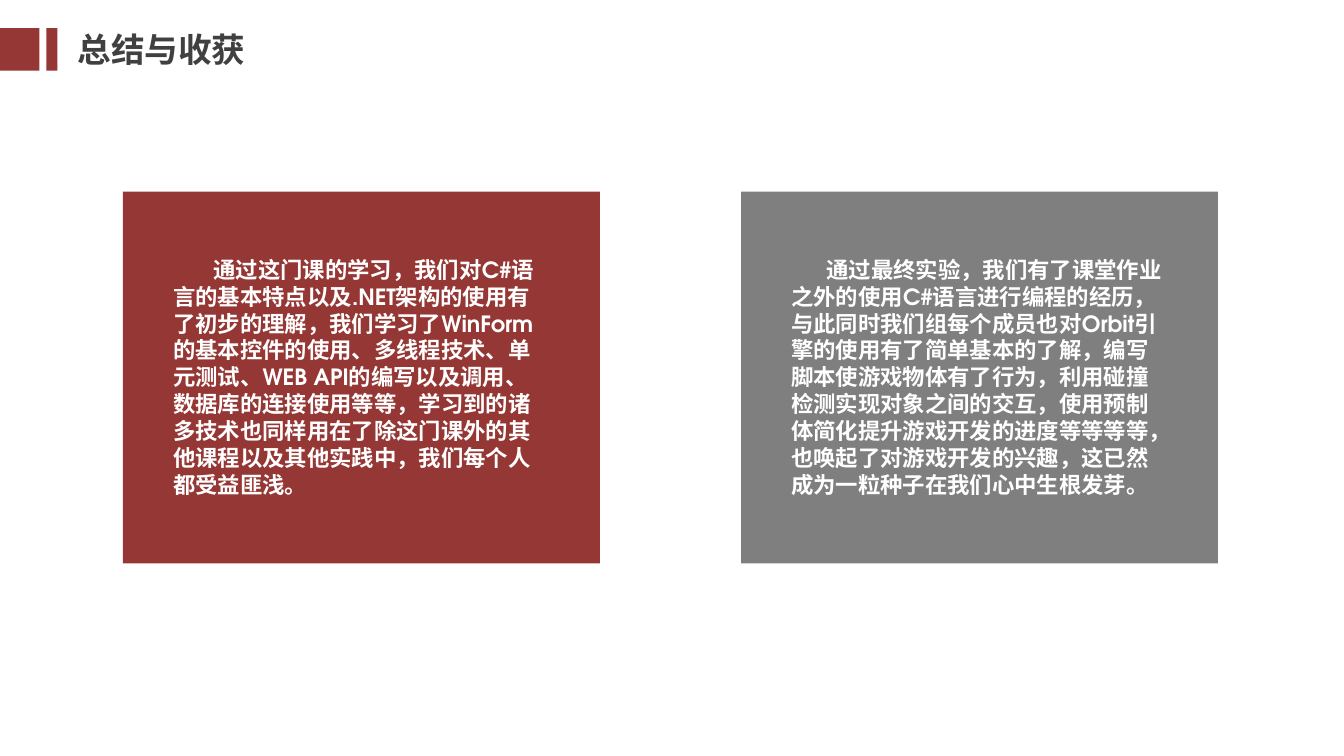
from pptx import Presentation
from pptx.dml.color import RGBColor
from pptx.enum.shapes import MSO_SHAPE
from pptx.enum.text import MSO_ANCHOR
from pptx.oxml.ns import qn
from pptx.util import Inches, Pt
from lxml import etree

RECTANGLE = MSO_SHAPE.RECTANGLE
TOP = MSO_ANCHOR.TOP
MIDDLE = MSO_ANCHOR.MIDDLE

COLOURS = {"red": "953734", "grey": "7F7F7F", "dark": "404040", "white": "FFFFFF"}
TITLE_FONT = "Noto Sans CJK SC"
BODY_FONT = "TeX Gyre Adventor"

LEARNING = (
    "通过这门课的学习，我们对C#语言的基本特点以及.NET架构的使用有了初步的理解，"
    "我们学习了WinForm的基本控件的使用、多线程技术、单元测试、WEB API的编写以及调用、"
    "数据库的连接使用等等，学习到的诸多技术也同样用在了除这门课外的其他课程以及其他实践中，"
    "我们每个人都受益匪浅。"
)
EXPERIMENT = (
    "通过最终实验，我们有了课堂作业之外的使用C#语言进行编程的经历，"
    "与此同时我们组每个成员也对Orbit引擎的使用有了简单基本的了解，"
    "编写脚本使游戏物体有了行为，利用碰撞检测实现对象之间的交互，"
    "使用预制体简化提升游戏开发的进度等等等等，也唤起了对游戏开发的兴趣，"
    "这已然成为一粒种子在我们心中生根发芽。"
)


def add_block(page, left, top, width, height, colour):
    block = page.shapes.add_shape(
        RECTANGLE, Inches(left), Inches(top), Inches(width), Inches(height)
    )
    block.shadow.inherit = False
    block.fill.solid()
    block.fill.fore_color.rgb = RGBColor.from_string(COLOURS[colour])
    block.line.fill.background()


def add_text(page, left, top, width, height, text, font, size, colour,
             anchor=TOP, indent=0):
    box = page.shapes.add_textbox(
        Inches(left), Inches(top), Inches(width), Inches(height)
    )
    frame = box.text_frame
    frame.word_wrap = True
    frame.vertical_anchor = anchor
    frame.text = text
    para = frame.paragraphs[0]
    para._p.get_or_add_pPr().set("indent", str(Inches(indent)))
    span = para.runs[0]
    span.font.name = font
    span.font.size = Pt(size)
    span.font.bold = True
    span.font.color.rgb = RGBColor.from_string(COLOURS[colour])
    east_asian = etree.SubElement(span._r.get_or_add_rPr(), qn("a:ea"))
    east_asian.set("typeface", font)


def add_panel(page, left, colour, text, indent):
    add_block(page, left, 1.9, 4.73, 3.69, colour)
    add_text(page, left + 0.4, 2.49, 3.92, 2.52, text, BODY_FONT, 16, "white",
             indent=indent)


def main():
    deck = Presentation()
    deck.slide_width = Inches(13.33)
    deck.slide_height = Inches(7.5)
    page = deck.slides.add_slide(deck.slide_layouts[6])

    for left, width in ((0, 0.39), (0.46, 0.11)):
        add_block(page, left, 0.28, width, 0.42, "red")
    add_text(page, 0.67, 0.24, 2.95, 0.5, "总结与收获", TITLE_FONT, 24, "dark", MIDDLE)

    add_panel(page, 1.22, "red", LEARNING, 0.4)
    add_panel(page, 7.35, "grey", EXPERIMENT, 0.35)

    deck.save("out.pptx")


if __name__ == "__main__":
    main()
